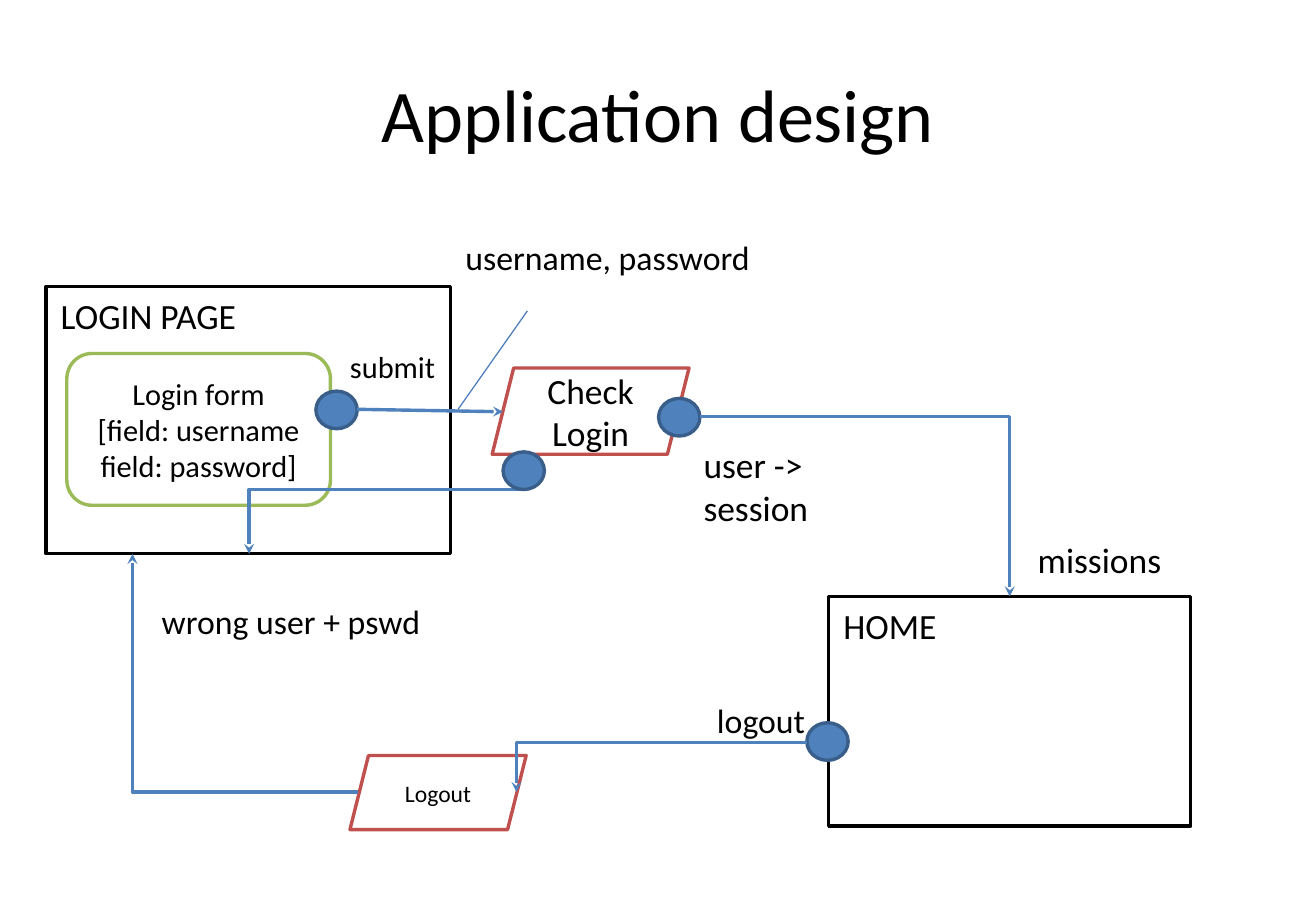
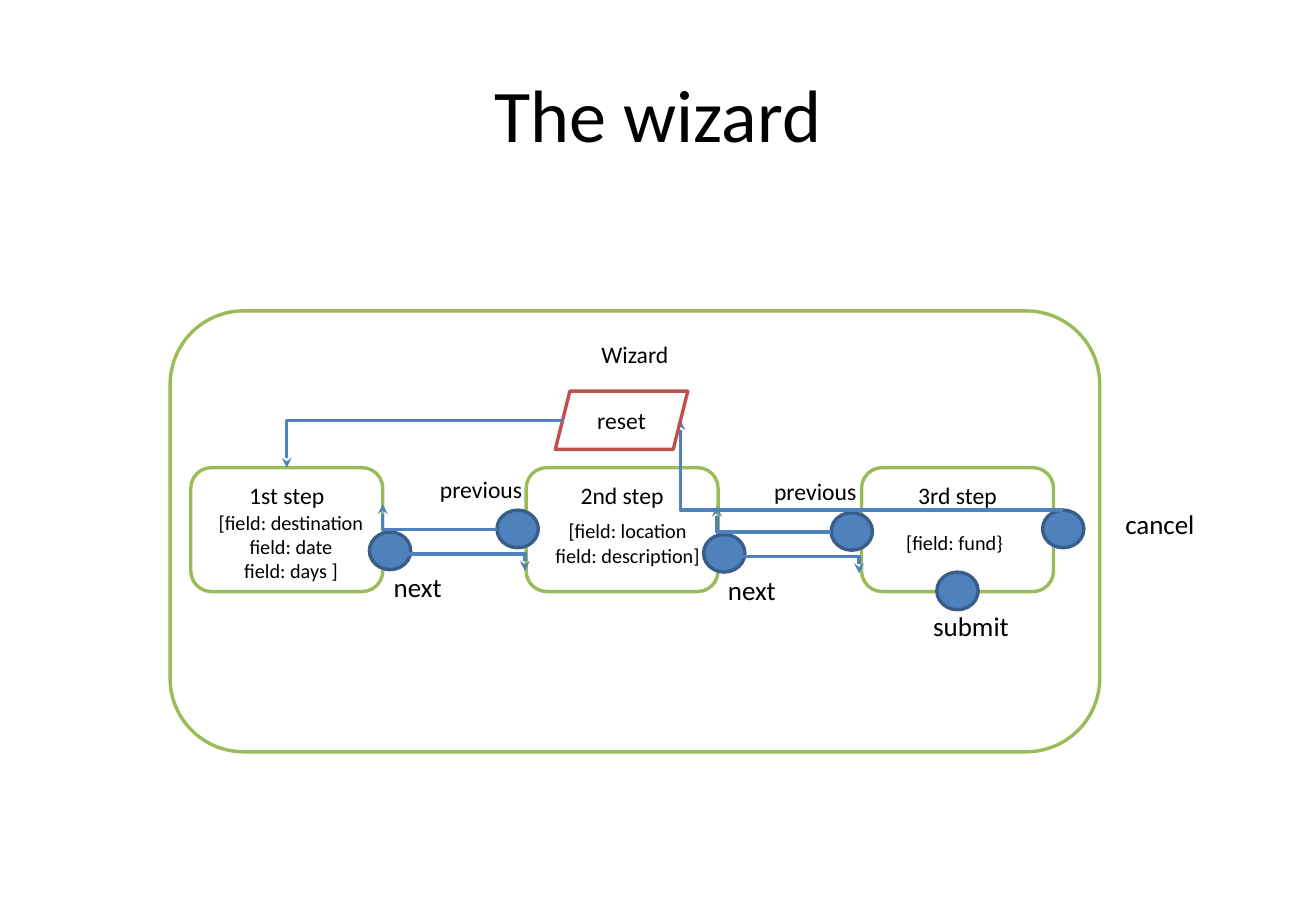
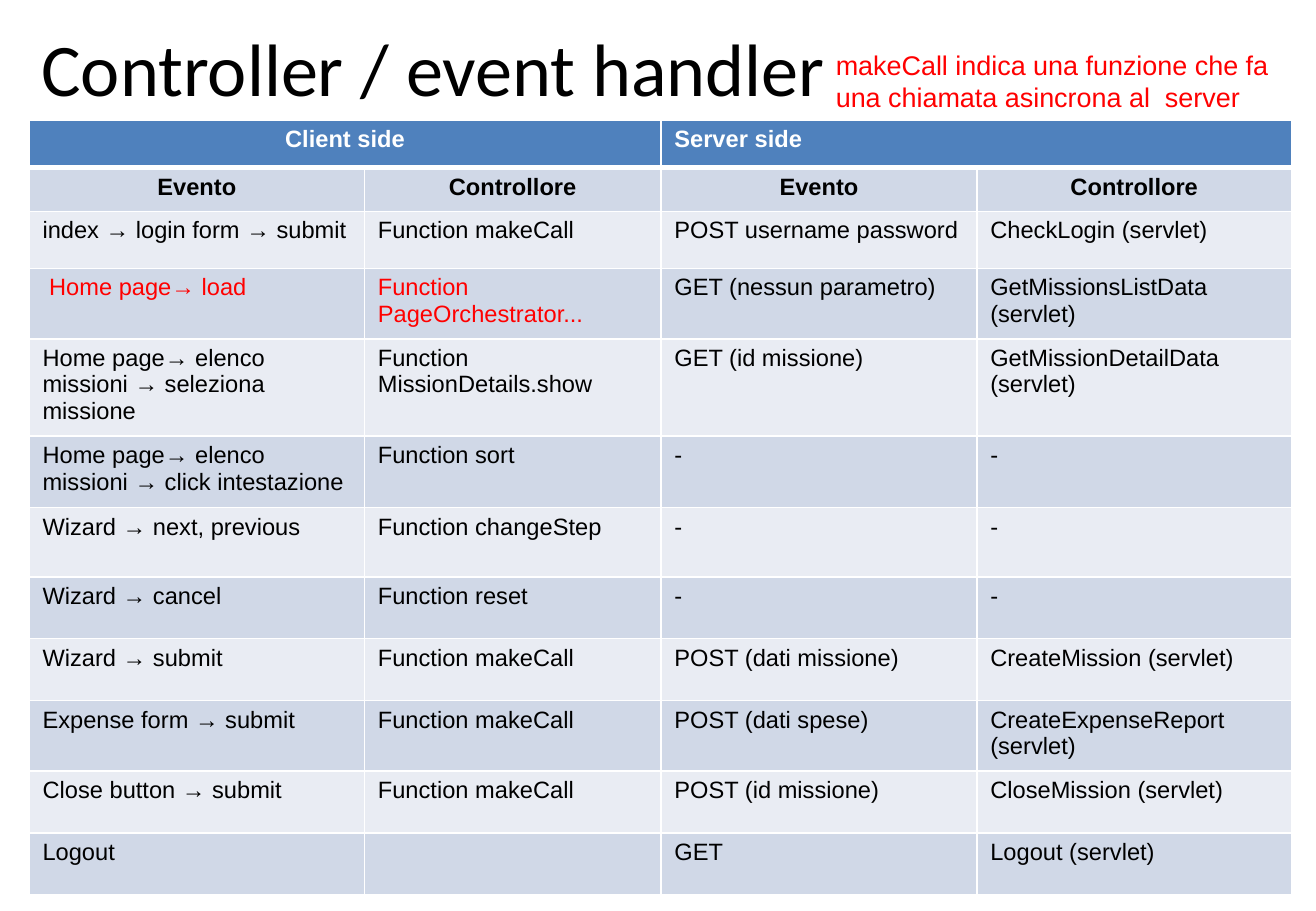
from lxml import etree
from pptx import Presentation
from pptx.dml.color import RGBColor
from pptx.enum.shapes import MSO_CONNECTOR, MSO_SHAPE
from pptx.enum.text import MSO_ANCHOR, MSO_AUTO_SIZE, PP_ALIGN
from pptx.oxml.ns import qn
from pptx.util import Pt

RECT, ROUND = MSO_SHAPE.RECTANGLE, MSO_SHAPE.ROUNDED_RECTANGLE
OVAL, PARALLELOGRAM = MSO_SHAPE.OVAL, MSO_SHAPE.PARALLELOGRAM
STRAIGHT, ELBOW = MSO_CONNECTOR.STRAIGHT, MSO_CONNECTOR.ELBOW
TOP, MIDDLE = MSO_ANCHOR.TOP, MSO_ANCHOR.MIDDLE
LEFT, CENTER = PP_ALIGN.LEFT, PP_ALIGN.CENTER
NO_FIT = MSO_AUTO_SIZE.NONE

EMU_PER_PX = 9144
COLORS = {
    "black": "000000", "white": "FFFFFF", "red": "FF0000",
    "blue": "4F81BD", "navy": "395E89", "callout": "4A7DBA",
    "form": "9BBB59", "action": "C0504D",
    "band_dark": "D0D8E7", "band_light": "E9ECF3",
}
COLUMNS = [276, 244, 260, 259]
ROW_HEIGHTS = [39, 36, 47, 58, 80, 59, 57, 51, 51, 58, 51, 51]
ROWS = [
    ["Client side", "", "Server side", ""],
    ["Evento", "Controllore", "Evento", "Controllore"],
    ["index → login form → submit", "Function makeCall",
     "POST username password", "CheckLogin (servlet)"],
    [" Home page→ load", "Function PageOrchestrator...",
     "GET (nessun parametro)", "GetMissionsListData (servlet)"],
    ["Home page→ elenco missioni → seleziona missione",
     "Function MissionDetails.show",
     "GET (id missione)", "GetMissionDetailData (servlet)"],
    ["Home page→ elenco missioni → click intestazione", "Function sort", "-", "-"],
    ["Wizard → next, previous", "Function changeStep", "-", "-"],
    ["Wizard → cancel", "Function reset", "-", "-"],
    ["Wizard → submit", "Function makeCall",
     "POST (dati missione)", "CreateMission (servlet)"],
    ["Expense form → submit", "Function makeCall",
     "POST (dati spese)", "CreateExpenseReport (servlet)"],
    ["Close button → submit", "Function makeCall",
     "POST (id missione)", "CloseMission (servlet)"],
    ["Logout", "", "GET", "Logout (servlet)"],
]
RED_CELLS = {(3, 0), (3, 1)}


def px(*lengths):
    """Turn pixel lengths into a list of EMU."""
    return [n * EMU_PER_PX for n in lengths]


def rgb(name):
    """Look up a named colour."""
    return RGBColor.from_string(COLORS[name])


def write(tf, text, size=14, font="Calibri", color="black", bold=False, align=LEFT):
    """Write one paragraph per line of text in the given format."""
    for i, line in enumerate(text.split("\n")):
        p = tf.paragraphs[0] if i == 0 else tf.add_paragraph()
        p.alignment = align
        if line:
            r = p.add_run()
            r.text = line
            r.font.size, r.font.name, r.font.bold = Pt(size), font, bold
            r.font.color.rgb = rgb(color)


def frame(tf, anchor=TOP, margins=(12, 6)):
    """Set wrapping, anchor and insets of a text frame."""
    tf.word_wrap, tf.auto_size, tf.vertical_anchor = True, NO_FIT, anchor
    tf.margin_left = tf.margin_right = px(margins[0])[0]
    tf.margin_top = tf.margin_bottom = px(margins[1])[0]


def add_slide(prs, title, at=(54, 30), anchor=MIDDLE, align=CENTER):
    """Add a slide with its title placed and formatted."""
    s = prs.slides.add_slide(prs.slide_layouts[5])
    ph = s.shapes.title
    ph.left, ph.top, ph.width, ph.height = px(*at, 975, 125)
    frame(ph.text_frame, anchor)
    write(ph.text_frame, title, size=44, align=align)
    return s


def node(s, kind, at, line, text="", fill="white", anchor=TOP, **fmt):
    """Add an outlined preset shape with text."""
    sp = s.shapes.add_shape(kind, *px(*at))
    sp.shadow.inherit = False
    sp.fill.solid()
    sp.fill.fore_color.rgb = rgb(fill)
    sp.line.color.rgb = rgb(line)
    sp.line.width = Pt(2)
    frame(sp.text_frame, anchor)
    write(sp.text_frame, text, **fmt)


def action(s, at, text, size=14):
    """Add a parallelogram for a server action."""
    node(s, PARALLELOGRAM, at, "action", text, anchor=MIDDLE, size=size, align=CENTER)


def event(s, x, y):
    """Add an event dot."""
    node(s, OVAL, (x, y, 34, 31), "navy", fill="blue")


def label(s, at, text, margins=(12, 6), **fmt):
    """Add a free text label."""
    tf = s.shapes.add_textbox(*px(*at)).text_frame
    frame(tf, margins=margins)
    write(tf, text, **fmt)


def link(s, x1, y1, x2, y2, kind=ELBOW, color="blue", width=2, arrow=True):
    """Add a connector; an elbow runs across first, then up or down."""
    c = s.shapes.add_connector(kind, *px(x1, y1, x2, y2))
    c.line.color.rgb = rgb(color)
    c.line.width = Pt(width)
    spPr = c._element.spPr
    if kind == ELBOW:
        spPr.find(qn("a:prstGeom")).set("prst", "bentConnector2")
        if x2 < x1:
            xfrm = spPr.find(qn("a:xfrm"))
            xfrm.set("rot", "10800000")
            xfrm.set("flipH", "0")
            xfrm.set("flipV", "1" if y2 > y1 else "0")
    if arrow:
        etree.SubElement(spPr.find(qn("a:ln")), qn("a:tailEnd"), type="stealth")
    etree.SubElement(spPr, qn("a:effectLst"))


def cell_borders(cell, top, bottom):
    """Draw white borders round a table cell."""
    tcPr = cell._tc.get_or_add_tcPr()
    for side, width in (("L", 0.96), ("R", 0.96), ("T", top), ("B", bottom)):
        ln = etree.SubElement(tcPr, qn("a:ln" + side), w=str(int(Pt(width))))
        fill = etree.SubElement(ln, qn("a:solidFill"))
        etree.SubElement(fill, qn("a:srgbClr"), val=COLORS["white"])


def event_table(s, x, y):
    """Add the table of events and controllers."""
    size = px(x, y, sum(COLUMNS), sum(ROW_HEIGHTS))
    table = s.shapes.add_table(len(ROWS), len(COLUMNS), *size).table
    for col, width in zip(table.columns, px(*COLUMNS)):
        col.width = width
    for row, height in zip(table.rows, px(*ROW_HEIGHTS)):
        row.height = height
    for i, texts in enumerate(ROWS):
        fill = "blue" if i == 0 else "band_dark" if i % 2 else "band_light"
        for j, text in enumerate(texts):
            cell = table.cell(i, j)
            cell_borders(cell, 3 if i == 1 else 0.96, 3 if i == 0 else 0.96)
            cell.fill.solid()
            cell.fill.fore_color.rgb = rgb(fill)
            cell.margin_left = cell.margin_right = px(11)[0]
            cell.margin_top = cell.margin_bottom = px(5)[0]
            color = "white" if i == 0 else "red" if (i, j) in RED_CELLS else "black"
            centred = i == 1 or (i, j) == (0, 0)
            write(cell.text_frame, text, font="Arial", color=color,
                  bold=i < 2, align=CENTER if centred else LEFT)
    for j in (0, 2):
        table.cell(0, j).merge(table.cell(0, j + 1))


def step_links(s, dx, dy):
    """Add the next and previous events between two wizard steps."""
    label(s, (350 + dx, 385 + dy, 98, 40), "previous")
    label(s, (312 + dx, 464 + dy, 78, 41), "next", size=16)
    event(s, 409 + dx, 420 + dy)
    event(s, 304 + dx, 438 + dy)
    link(s, 332 + dx, 456 + dy, 432 + dx, 470 + dy)
    link(s, 409 + dx, 436 + dy, 315 + dx, 415 + dy)


def design_slide(prs):
    """Build the application design slide."""
    s = add_slide(prs, "Application design")
    node(s, RECT, (38, 236, 333, 220), "black", "LOGIN PAGE", size=21)
    node(s, ROUND, (55, 291, 217, 125), "form",
         "Login form\n[field: username\nfield: password]",
         anchor=MIDDLE, size=18, align=CENTER)
    node(s, RECT, (682, 491, 298, 189), "black", "HOME", size=21)
    event(s, 260, 322)
    label(s, (276, 281, 98, 40), "submit", size=18)
    link(s, 431, 403, 205, 456)
    label(s, (121, 489, 295, 40), "wrong user + pswd", size=20)
    label(s, (371, 189, 259, 45), "username, password", size=20)
    link(s, 434, 256, 377, 337, STRAIGHT, "callout", 0.75, arrow=False)
    action(s, (405, 303, 162, 71), "Check\nLogin", size=21)
    link(s, 294, 337, 414, 339, STRAIGHT)
    event(s, 542, 328)
    event(s, 414, 372)
    label(s, (567, 359, 184, 40), "user -> session", size=21)
    link(s, 576, 343, 831, 491)
    label(s, (842, 437, 184, 40), "missions", size=21)
    event(s, 664, 595)
    action(s, (288, 622, 145, 61), "Logout")
    link(s, 664, 611, 425, 652)
    label(s, (578, 570, 98, 40), "logout", size=20)
    link(s, 295, 652, 109, 456)


def wizard_slide(prs):
    """Build the wizard slide."""
    s = add_slide(prs, "The wizard")
    node(s, ROUND, (140, 256, 765, 363), "form", "Wizard", align=CENTER)
    label(s, (914, 412, 98, 40), "cancel", size=16)
    for i, name in enumerate(("1st step", "2nd step", "3rd step")):
        node(s, ROUND, (157 + 276 * i, 385, 158, 102), "form", name, align=CENTER)
    event(s, 858, 420)
    event(s, 771, 471)
    label(s, (756, 496, 98, 40), "submit", size=16)
    step_links(s, 0, 0)
    step_links(s, 275, 2)
    link(s, 875, 420, 560, 346)
    for x, y, h, fields in (
        (136, 415, 70, "[field: destination\nfield: date\nfield: days ]"),
        (413, 422, 50, "[field: location\nfield: description]"),
        (682, 432, 30, "[field: fund}"),
    ):
        label(s, (x, y, 207, h), fields, margins=(10, 5), size=12, align=CENTER)
    action(s, (457, 322, 109, 48), "reset")
    link(s, 463, 346, 236, 385)


def controller_slide(prs):
    """Build the controller and event handler slide."""
    s = add_slide(prs, "Controller / event handler", (22, 12), TOP, LEFT)
    event_table(s, 24, 99)
    label(s, (678, 35, 384, 63),
          "makeCall indica una funzione che fa una chiamata asincrona al  server",
          margins=(10, 5), size=16, font="Arial", color="red")


def main():
    """Build and save the presentation."""
    prs = Presentation()
    prs.slide_width, prs.slide_height = px(1083, 750)
    design_slide(prs)
    wizard_slide(prs)
    controller_slide(prs)
    prs.save("out.pptx")


if __name__ == "__main__":
    main()
